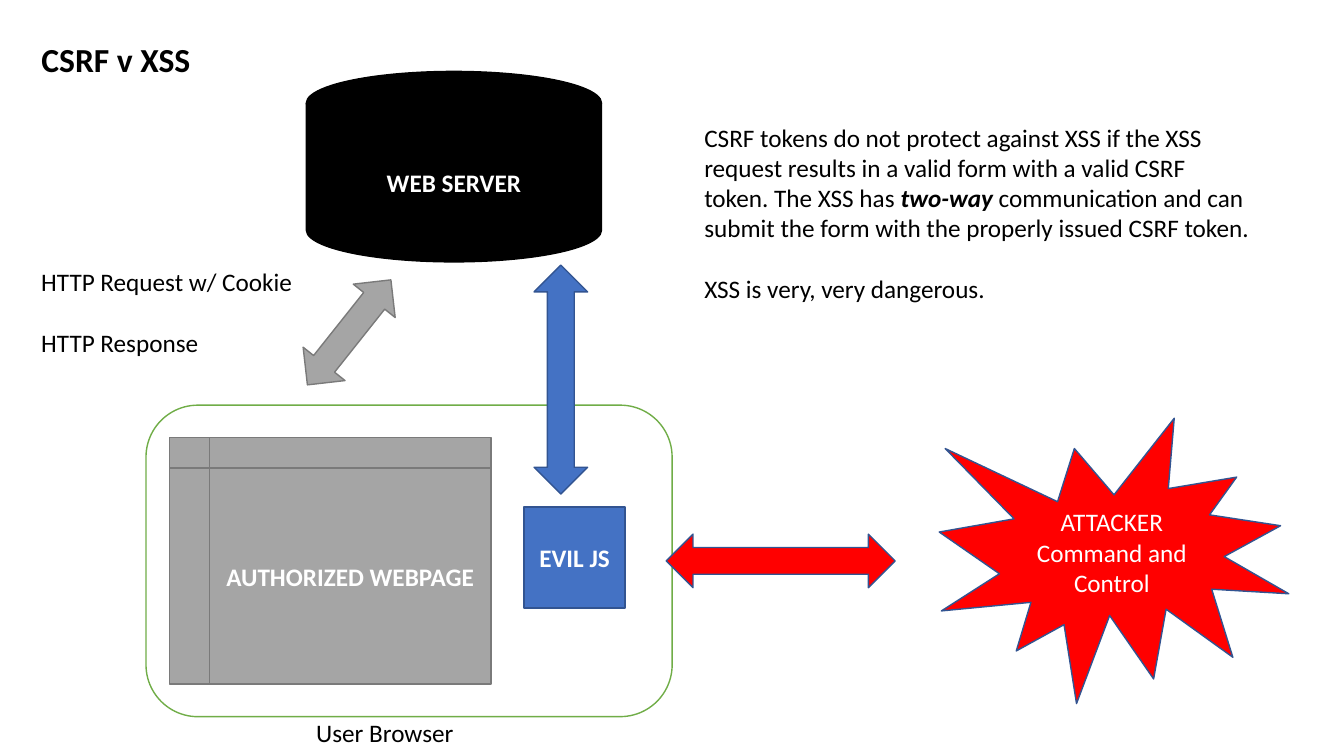
from dataclasses import dataclass

import pptx
import pptx.dml.color
import pptx.enum.shapes
import pptx.enum.text
import pptx.util

Cm = pptx.util.Cm
Pt = pptx.util.Pt
Kind = pptx.enum.shapes.MSO_SHAPE
Align = pptx.enum.text.PP_ALIGN
Anchor = pptx.enum.text.MSO_ANCHOR
Fit = pptx.enum.text.MSO_AUTO_SIZE

COLORS = {
    "black": "000000",
    "white": "FFFFFF",
    "green": "70AD47",
    "blue": "4472C4",
    "navy": "325491",
    "gray": "A5A5A5",
    "slate": "7A7A7A",
    "red": "FF0000",
}
FONT = "Calibri"
Box = tuple[float, float, float, float]


@dataclass
class Figure:
    kind: Kind
    box: Box
    fill: str
    line: str
    lines: tuple[str, ...] = ()
    bold: bool = True
    turn: float = 0


@dataclass
class Label:
    box: Box
    lines: tuple[str, ...]
    wrap: bool = False


FIGURES = [
    Figure(Kind.ROUNDED_RECTANGLE, (3.68, 10.21, 13.26, 7.85), "white", "green"),
    Figure(Kind.RECTANGLE, (13.21, 12.78, 2.54, 2.54), "blue", "navy", ("EVIL JS",)),
    Figure(Kind.FLOWCHART_INTERNAL_STORAGE, (4.27, 11.02, 8.1, 6.22),
           "gray", "slate", ("AUTHORIZED WEBPAGE",)),
    Figure(Kind.FLOWCHART_MAGNETIC_DISK, (7.72, 1.8, 7.44, 4.8),
           "black", "black", ("WEB SERVER",)),
    Figure(Kind.LEFT_RIGHT_ARROW, (7.11, 7.7, 3.38, 1.35), "gray", "slate", turn=308.5),
    Figure(Kind.EXPLOSION1, (23.67, 10.54, 8.81, 7.19), "red", "navy",
           ("ATTACKER", "Command and Control"), bold=False),
    Figure(Kind.LEFT_RIGHT_ARROW, (11.25, 8.89, 5.77, 1.35), "blue", "navy", turn=270),
    Figure(Kind.LEFT_RIGHT_ARROW, (16.79, 13.46, 5.77, 1.35), "red", "navy"),
]

LABELS = [
    Label((0.79, 6.58, 6.91, 2.57), ("HTTP Request w/ Cookie", "HTTP Response")),
    Label((7.72, 17.96, 4.01, 1.02), ("User Browser",)),
    Label((17.5, 2.95, 14.38, 4.88), (
        "CSRF tokens do not protect against XSS if the XSS request results in a "
        "valid form with a valid CSRF token. The XSS has *two-way* communication "
        "and can submit the form with the properly issued CSRF token.",
        "XSS is very, very dangerous.",
    ), wrap=True),
]


def color(name: str) -> pptx.dml.color.RGBColor:
    return pptx.dml.color.RGBColor.from_string(COLORS[name])


def write(frame, lines: tuple[str, ...], ink: str, size: int = 18,
          bold: bool = False, align: Align = Align.LEFT, gap: int = 0) -> None:
    """Fill a text frame; words between asterisks turn bold italic."""
    for row, line in enumerate(lines):
        para = frame.add_paragraph() if row else frame.paragraphs[0]
        para.alignment = align
        para.space_before = Pt(gap if row else 0)
        font = para.font
        font.name, font.size, font.bold = FONT, Pt(size), bold
        font.color.rgb = color(ink)
        for part, text in enumerate(line.split("*")):
            run = para.add_run()
            run.text = text
            if part % 2:
                run.font.bold = run.font.italic = True


def draw_figure(slide, item: Figure) -> None:
    shape = slide.shapes.add_shape(item.kind, *map(Cm, item.box))
    shape.shadow.inherit = False
    shape.rotation = item.turn
    shape.fill.solid()
    shape.fill.fore_color.rgb = color(item.fill)
    shape.line.color.rgb = color(item.line)
    shape.line.width = Pt(1)
    shape.text_frame.vertical_anchor = Anchor.MIDDLE
    write(shape.text_frame, item.lines, "white", bold=item.bold, align=Align.CENTER)


def draw_label(slide, item: Label) -> None:
    frame = slide.shapes.add_textbox(*map(Cm, item.box)).text_frame
    frame.word_wrap = item.wrap
    frame.auto_size = Fit.SHAPE_TO_FIT_TEXT
    write(frame, item.lines, "black", gap=22)


def draw_title(slide) -> None:
    title = slide.shapes.title
    title.left, title.top, title.width, title.height = map(Cm, (0.79, 0.86, 4.32, 1.27))
    frame = title.text_frame
    frame.word_wrap = False
    frame.auto_size = Fit.SHAPE_TO_FIT_TEXT
    frame.vertical_anchor = Anchor.TOP
    write(frame, ("CSRF v XSS",), "black", size=24, bold=True)


def main() -> None:
    deck = pptx.Presentation()
    deck.slide_width, deck.slide_height = Cm(33.87), Cm(19.05)
    slide = deck.slides.add_slide(deck.slide_layouts[5])
    draw_title(slide)
    for item in FIGURES:
        draw_figure(slide, item)
    for item in LABELS:
        draw_label(slide, item)
    deck.save("out.pptx")


if __name__ == "__main__":
    main()
